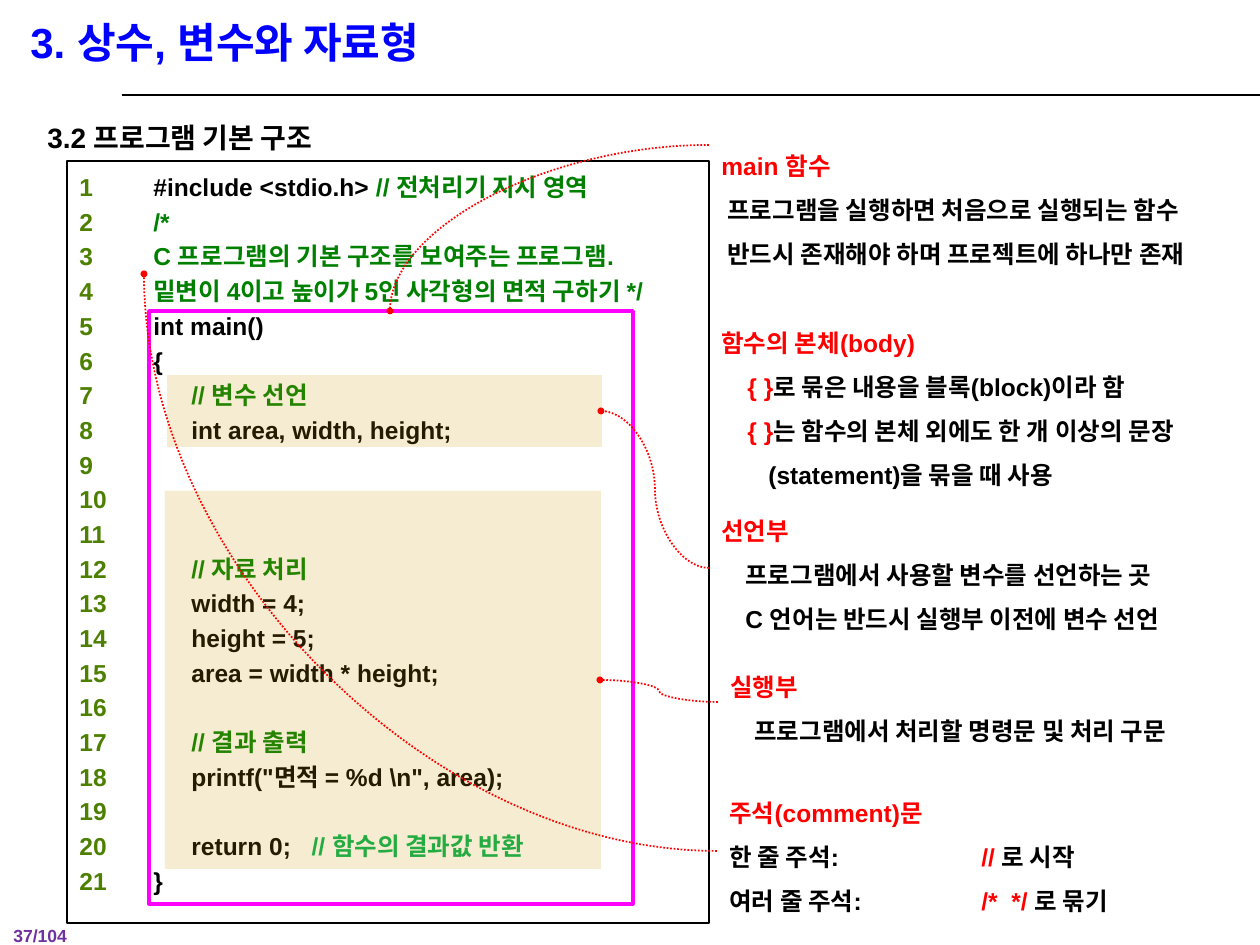
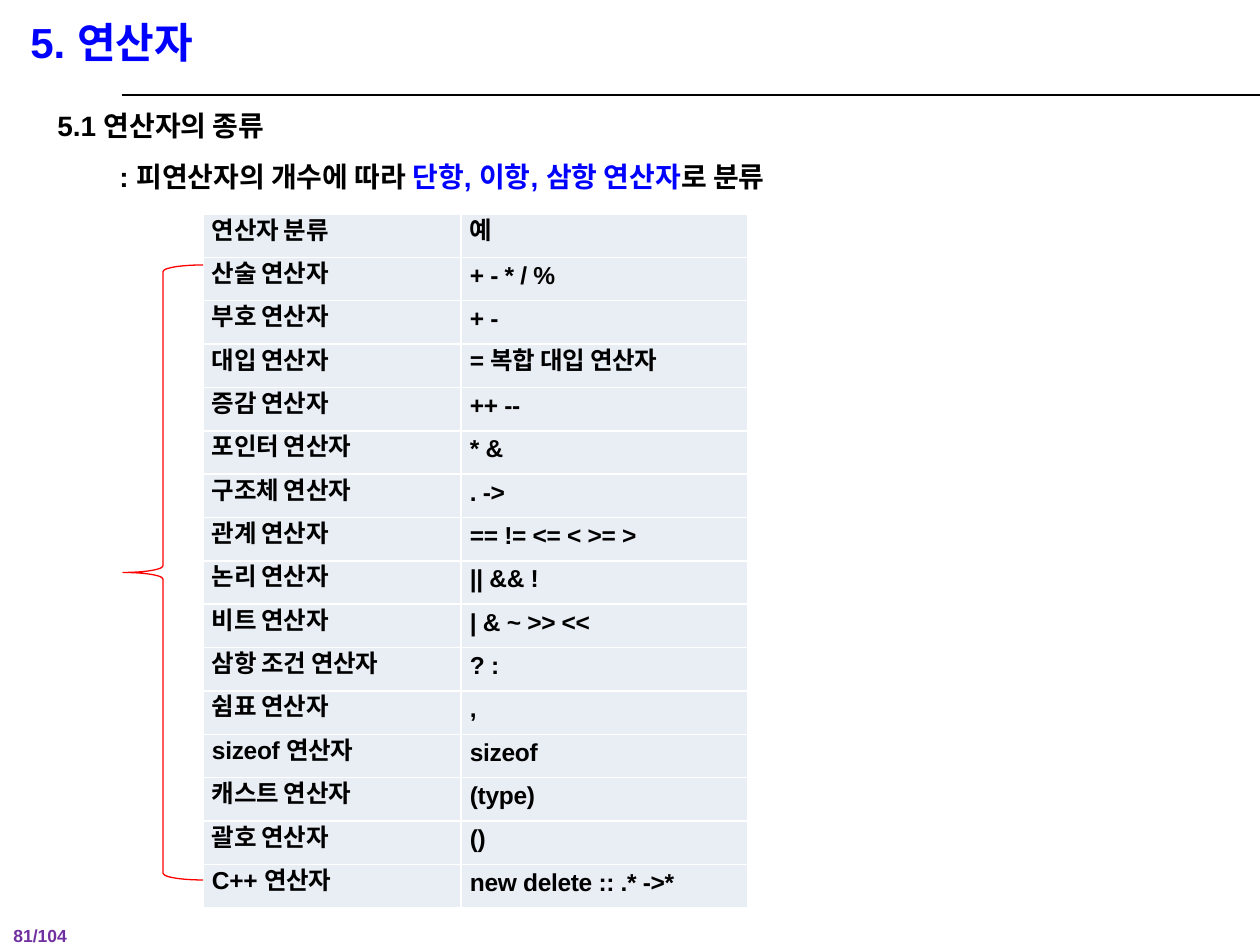
from dataclasses import dataclass

from lxml import etree
from pptx import Presentation
from pptx import util as u
from pptx.dml.color import RGBColor
from pptx.enum import shapes, text
from pptx.oxml.ns import qn

PX = 914400 / 126
FONT = "Arial"
COLOURS = {
    "black": "000000", "white": "FFFFFF", "blue": "0000FF", "red": "FF0000",
    "purple": "7030A0", "magenta": "FF00FF", "olive": "4D8000",
    "green": "008000", "lime": "00B050", "gold": "CC9900", "cell": "E9EDF4",
}
Span = tuple[str, str]  # text, colour name


def px(length: float) -> int:
    return round(length * PX)


def rgb(name: str) -> RGBColor:
    return RGBColor.from_string(COLOURS[name])


@dataclass
class Para:
    spans: list[Span]
    indent: int = 0
    gap_before: float = 0


@dataclass
class TextBlock:
    box: tuple[int, int, int, int]
    paras: list[Para]
    size: int = 14
    spacing: float = 1.5
    tabs: tuple[int, ...] = ()


@dataclass
class Frame:
    box: tuple[int, int, int, int]
    line: str = ""
    width: float = 1
    fill: str = ""
    opacity: int = 100
    kind: shapes.MSO_SHAPE = shapes.MSO_SHAPE.RECTANGLE


@dataclass
class Callout:
    start: tuple[int, int]
    end: tuple[int, int]
    geometry: str


# Shared drawing helpers
def sub(parent, tag: str, **attributes: str):
    return etree.SubElement(parent, qn(tag), **attributes)


def write_spans(para, spans: list[Span], size: int, tracking: int = 0) -> None:
    for words, colour in spans:
        span = para.add_run()
        span.text = words
        span.font.name = FONT
        span.font.size = u.Pt(size)
        span.font.bold = True
        span.font.color.rgb = rgb(colour)
        if tracking:
            span._r.get_or_add_rPr().set("spc", str(tracking))


def draw_text(page, block: TextBlock) -> None:
    box = page.shapes.add_textbox(*map(px, block.box))
    frame = box.text_frame
    frame.word_wrap = True
    for index, item in enumerate(block.paras):
        para = frame.paragraphs[0] if index == 0 else frame.add_paragraph()
        para.line_spacing = block.spacing
        if item.gap_before and index:
            para.space_before = u.Pt(item.gap_before)
        properties = para._p.get_or_add_pPr()
        # An explicit first-line indent would reset the tab stops
        if item.indent:
            properties.set("marL", str(px(item.indent)))
        if block.tabs:
            stops = sub(properties, "a:tabLst")
            for stop in block.tabs:
                sub(stops, "a:tab", pos=str(px(stop)), algn="l")
        write_spans(para, item.spans, block.size)


def draw_frame(page, item: Frame) -> None:
    shape = page.shapes.add_shape(item.kind, *map(px, item.box))
    shape.shadow.inherit = False
    if item.fill:
        shape.fill.solid()
        shape.fill.fore_color.rgb = rgb(item.fill)
        colour = shape._element.spPr.find(qn("a:solidFill"))[0]
        sub(colour, "a:alpha", val=str(item.opacity * 1000))
    else:
        shape.fill.background()
    if item.line:
        shape.line.color.rgb = rgb(item.line)
        shape.line.width = u.Pt(item.width)
    else:
        shape.line.fill.background()


def draw_connector(page, kind, start, end, colour: str, width: float):
    line = page.shapes.add_connector(kind, *map(px, start + end))
    line.line.color.rgb = rgb(colour)
    line.line.width = u.Pt(width)
    sub(line._element.spPr, "a:effectLst")
    return line


def draw_callout(page, item: Callout) -> None:
    curve = draw_connector(page, shapes.MSO_CONNECTOR.CURVE, item.start, item.end, "red", 1)
    properties = curve._element.spPr
    properties.find(qn("a:prstGeom")).set("prst", item.geometry)
    stroke = properties.find(qn("a:ln"))
    sub(stroke, "a:prstDash", val="sysDot")
    sub(stroke, "a:tailEnd", type="oval", w="sm", len="sm")


def new_page(deck, title: str, number: str):
    page = deck.slides.add_slide(deck.slide_layouts[6])
    draw_text(page, TextBlock((1, 908, 93, 34), [Para([(number, "purple")])], 10))
    draw_connector(page, shapes.MSO_CONNECTOR.STRAIGHT, (122, 95), (1260, 95), "black", 0.75)
    draw_text(page, TextBlock((18, 10, 1168, 64), [Para([(title, "blue")])], 24, 1.0))
    return page


# Program listing: tabs before the code, then its spans
CODE: list[tuple[int, list[Span]]] = [
    (1, [("#include <stdio.h> ", "black"), ("// 전처리기 지시 영역", "green")]),
    (1, [("/*", "green")]),
    (1, [("C 프로그램의 기본 구조를 보여주는 프로그램.", "green")]),
    (1, [("밑변이 4이고 높이가 5인 사각형의 면적 구하기 */", "green")]),
    (1, [("int main()", "black")]),
    (1, [("{", "black")]),
    (2, [("// 변수 선언", "green")]),
    (2, [("int area, width, height;", "black")]),
    (0, []),
    (0, []),
    (0, []),
    (2, [("// 자료 처리", "green")]),
    (2, [("width = 4;", "black")]),
    (2, [("height = 5;", "black")]),
    (2, [("area = width * height;", "black")]),
    (0, []),
    (2, [("// 결과 출력", "green")]),
    (2, [('printf("면적 = %d \\n", area);', "black")]),
    (0, []),
    (2, [("return 0;   ", "black"), ("// 함수의 결과값 반환", "lime")]),
    (1, [("}", "black")]),
]

# Explanations beside the listing
NOTES = [
    TextBlock((709, 130, 546, 369), [
        Para([("main 함수", "red")]),
        Para([("프로그램을 실행하면 처음으로 실행되는 함수", "black")], 6),
        Para([("반드시 존재해야 하며 프로젝트에 하나만 존재", "black")], 6),
        Para([("함수의 본체(body)", "red")], gap_before=25.5),
        Para([("{ }", "red"), ("로 묶은 내용을 블록(block)이라 함", "black")], 26),
        Para([("{ }", "red"), ("는 함수의 본체 외에도 한 개 이상의 문장", "black")], 26),
        Para([("(statement)을 묶을 때 사용", "black")], 47),
    ]),
    TextBlock((709, 495, 528, 146), [
        Para([("선언부", "red")]),
        Para([("프로그램에서 사용할 변수를 선언하는 곳", "black")], 24),
        Para([("C 언어는 반드시 실행부 이전에 변수 선언", "black")], 24),
    ]),
    TextBlock((718, 651, 528, 102), [
        Para([("실행부", "red")]),
        Para([("프로그램에서 처리할 명령문 및 처리 구문", "black")], 24),
    ]),
    TextBlock((717, 777, 528, 146), [
        Para([("주석(comment)문", "red")]),
        Para([("한 줄 주석:\t", "black"), ("// ", "red"), ("로 시작", "black")]),
        Para([("여러 줄 주석:\t", "black"), ("/*  */ ", "red"), ("로 묶기", "black")]),
    ], tabs=(252,)),
]

FRAMES = [
    Frame((149, 311, 484, 593), "magenta", 2),
    Frame((167, 375, 435, 72), fill="gold", opacity=18),
    Frame((165, 491, 436, 378), fill="gold", opacity=18),
    Frame((67, 161, 642, 762), "black"),
]

CALLOUTS = [
    Callout((709, 145), (390, 311), "curvedConnector2"),
    Callout((709, 568), (601, 411), "curvedConnector3"),
    Callout((718, 702), (600, 680), "curvedConnector3"),
    Callout((717, 851), (144, 274), "curvedConnector2"),
]

OPERATORS = [
    ("연산자 분류", "예"),
    ("산술 연산자", "+ - * / %"),
    ("부호 연산자", "+ -"),
    ("대입 연산자", "= 복합 대입 연산자"),
    ("증감 연산자", "++ --"),
    ("포인터 연산자", "* &"),
    ("구조체 연산자", ". ->"),
    ("관계 연산자", "== != <= < >= >"),
    ("논리 연산자", "|| && !"),
    ("비트 연산자", "| & ~ >> <<"),
    ("삼항 조건 연산자", "? :"),
    ("쉼표 연산자", ","),
    ("sizeof 연산자", "sizeof"),
    ("캐스트 연산자", "(type)"),
    ("괄호 연산자", "()"),
    ("C++ 연산자", "new delete :: .* ->*"),
]


def build_structure_page(deck) -> None:
    page = new_page(deck, "3. 상수, 변수와 자료형", "37/104")
    draw_text(page, TextBlock((35, 98, 456, 63), [Para([("3.2 프로그램 기본 구조", "black")])], 16))
    listing = [
        Para([(f"{number}" + "\t" * tabs, "olive"), *spans], gap_before=3)
        for number, (tabs, spans) in enumerate(CODE, 1)
    ]
    stops = (74, 112, 147, 198, 247, 284, 297, 345)
    draw_text(page, TextBlock((67, 166, 726, 742), listing, spacing=1.0, tabs=stops))
    for block in NOTES:
        draw_text(page, block)
    for frame in FRAMES:
        draw_frame(page, frame)
    for callout in CALLOUTS:
        draw_callout(page, callout)


def draw_operator_table(page) -> None:
    holder = page.shapes.add_table(len(OPERATORS), 2, *map(px, (203, 214, 545, 694)))
    table = holder.table
    table.first_row = table.horz_banding = False
    for column, width in zip(table.columns, (258, 287)):
        column.width = px(width)
    for row, words in zip(table.rows, OPERATORS):
        for cell, label in zip(row.cells, words):
            cell.margin_left = cell.margin_right = px(9)
            cell.margin_top = cell.margin_bottom = 0
            cell.vertical_anchor = text.MSO_ANCHOR.MIDDLE
            para = cell.text_frame.paragraphs[0]
            para.line_spacing = u.Pt(12)
            write_spans(para, [(label, "black")], 14, tracking=-20)
            properties = cell._tc.get_or_add_tcPr()
            for side in ("a:lnL", "a:lnR", "a:lnT", "a:lnB"):
                border = sub(properties, side, w=str(u.Pt(1)))
                sub(sub(border, "a:solidFill"), "a:srgbClr", val=COLOURS["white"])
            cell.fill.solid()
            cell.fill.fore_color.rgb = rgb("cell")


def build_operator_page(deck) -> None:
    page = new_page(deck, "5. 연산자", "81/104")
    draw_text(page, TextBlock((45, 86, 1131, 115), [
        Para([("5.1 연산자의 종류", "black")]),
        Para([(": 피연산자의 개수에 따라 ", "black"), ("단항, 이항, 삼항 연산자", "blue"),
              ("로 분류", "black")], 62),
    ], 16))
    draw_operator_table(page)
    draw_frame(page, Frame((123, 265, 80, 615), "red", 0.75, kind=shapes.MSO_SHAPE.LEFT_BRACE))


def main() -> None:
    deck = Presentation()
    deck.slide_width, deck.slide_height = px(1260), px(945)
    build_structure_page(deck)
    build_operator_page(deck)
    deck.save("out.pptx")


if __name__ == "__main__":
    main()
